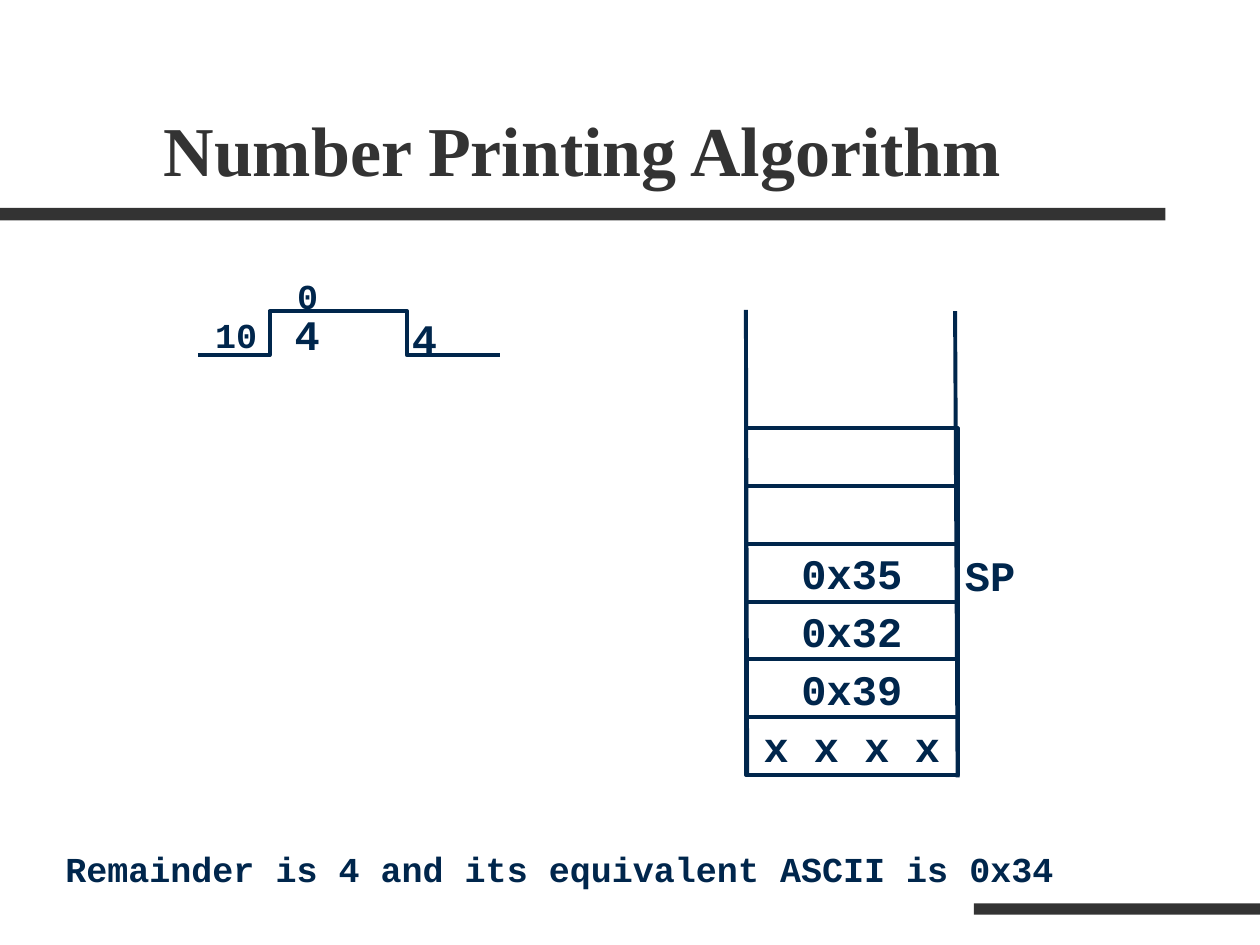
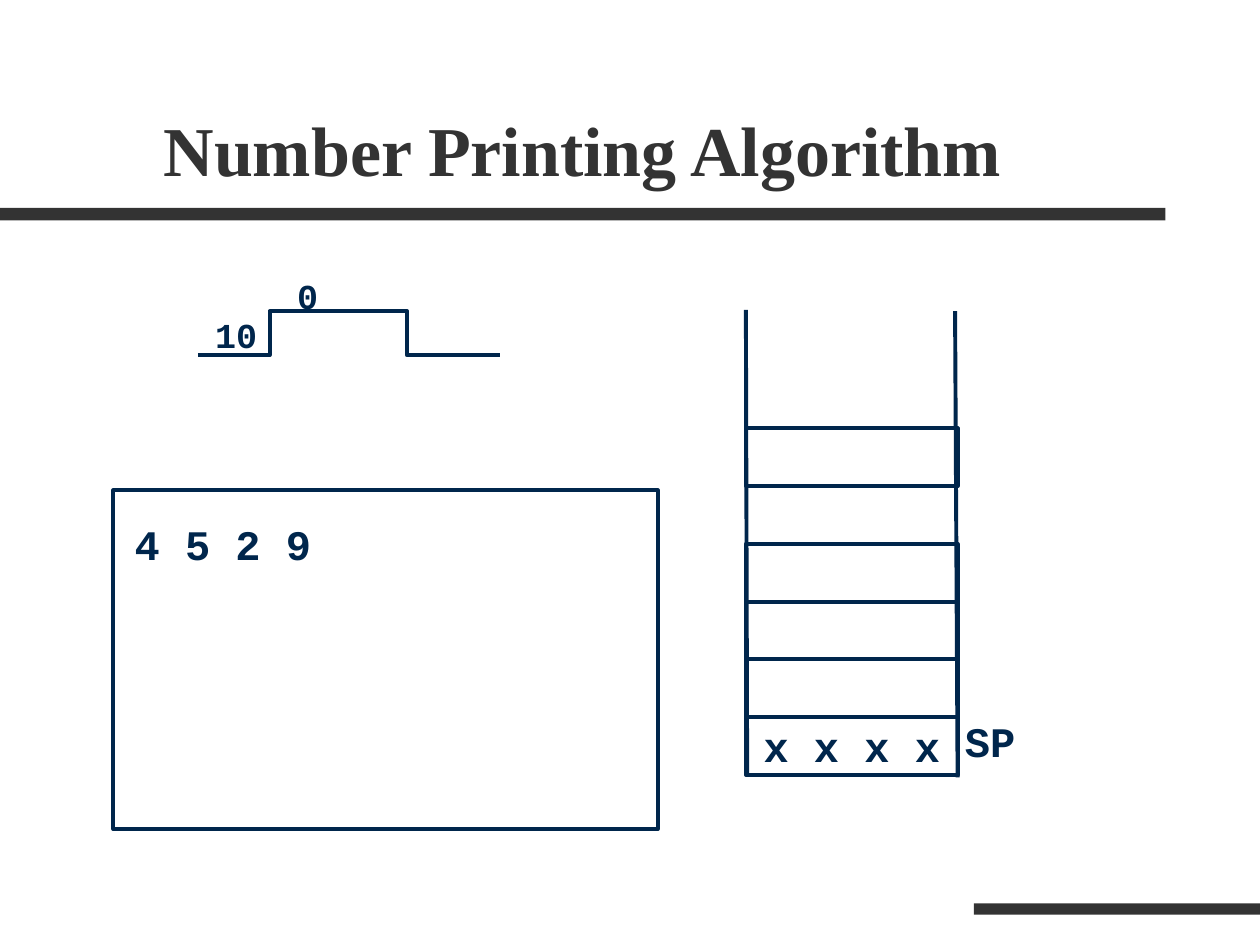
from lxml import etree
from pptx import Presentation
from pptx.dml.color import RGBColor
from pptx.enum.shapes import MSO_CONNECTOR, MSO_SHAPE
from pptx.enum.text import MSO_ANCHOR, MSO_AUTO_SIZE, PP_ALIGN
from pptx.oxml.ns import qn
from pptx.util import Pt

PX = 9144  # 100 px to the inch
RECTANGLE = MSO_SHAPE.RECTANGLE
STRAIGHT = MSO_CONNECTOR.STRAIGHT
TOP, MIDDLE, BOTTOM = MSO_ANCHOR.TOP, MSO_ANCHOR.MIDDLE, MSO_ANCHOR.BOTTOM
GROW = MSO_AUTO_SIZE.SHAPE_TO_FIT_TEXT
CENTER = PP_ALIGN.CENTER

# Shared look
COLORS = {"band": "333333", "ink": "00264C"}
TITLE_FONT, CODE_FONT = "Times New Roman", "Courier New"
LINE_WIDTH = 2.25
TITLE = "Number Printing Algorithm"
TITLE_BOX = (120, 31, 850, 125)
BANDS = [(0, 165, 925, 10), (773, 717, 227, 9)]

# Shared drawing: division bracket and stack
BRACKET = [(157, 282), (214, 282), (214, 247), (323, 247), (323, 282), (397, 282)]
STACK_WALLS = [((592, 246), (593, 615)), ((758, 247), (760, 617))]
STACK_LEFT, STACK_TOP, STACK_WIDTH, STACK_HEIGHT = 592, 340, 168, 275
DIVISION_LABELS = [("10", (161, 244, 56, 44), 20), ("0", (226, 213, 56, 44), 20)]

# Per slide: stack cells from top to bottom (None leaves a gap), screens, labels
SLIDES = [
    {
        "stack": ["", "", "0x35", "0x32", "0x39", "x x x x"],
        "screens": [],
        "labels": [
            ("SP", (756, 431, 78, 50), 24),
            ("4", (224, 240, 104, 50), 24),
            ("4", (317, 243, 104, 50), 24),
            ("Remainder is 4 and its equivalent ASCII is 0x34", (42, 668, 821, 44), 20),
        ],
    },
    {
        "stack": ["", None, "", "", "", "x x x x"],
        "screens": [(90, 389, 432, 269)],
        "labels": [
            ("SP", (756, 563, 78, 50), 24),
            ("4 5 2 9", (97, 407, 408, 50), 24),
        ],
    },
]


def emu(lengths):
    return [round(length * PX) for length in lengths]


def color(name):
    return RGBColor.from_string(COLORS[name])


def style_outline(part):
    part.line.color.rgb = color("ink")
    part.line.width = Pt(LINE_WIDTH)


def write(frame, text, size, font=CODE_FONT, ink="ink", anchor=TOP):
    frame.text = text
    frame.vertical_anchor = anchor
    run_font = frame.paragraphs[0].runs[0].font
    run_font.name, run_font.size, run_font.bold = font, Pt(size), True
    run_font.color.rgb = color(ink)


def add_text(slide, text, box, size, **style):
    frame = slide.shapes.add_textbox(*emu(box)).text_frame
    frame.word_wrap = True
    write(frame, text, size, **style)
    return frame


def add_box(slide, box, fill=None):
    part = slide.shapes.add_shape(RECTANGLE, *emu(box))
    part.shadow.inherit = False
    if fill:
        part.fill.solid()
        part.fill.fore_color.rgb = color(fill)
        part.line.fill.background()
    else:
        part.fill.background()
        style_outline(part)
    return part


def add_bracket(slide):
    builder = slide.shapes.build_freeform(*BRACKET[0], scale=PX)
    builder.add_line_segments(BRACKET[1:], close=False)
    bracket = builder.convert_to_shape()
    bracket.shadow.inherit = False
    bracket.fill.background()
    style_outline(bracket)


def add_stack(slide, cells):
    for start, end in STACK_WALLS:
        wall = slide.shapes.add_connector(STRAIGHT, *emu(start + end))
        style_outline(wall)
        etree.SubElement(wall._element.spPr, qn("a:effectLst"))
    cell_height = STACK_HEIGHT / len(cells)
    for row, value in enumerate(cells):
        if value is None:
            continue
        top = STACK_TOP + row * cell_height
        cell = add_box(slide, (STACK_LEFT, top, STACK_WIDTH, cell_height))
        if value:
            write(cell.text_frame, value, 24, anchor=MIDDLE)
            cell.text_frame.word_wrap = False
            cell.text_frame.paragraphs[0].alignment = CENTER


def main():
    deck = Presentation()
    deck.slide_width, deck.slide_height = emu((1000, 750))
    for content in SLIDES:
        slide = deck.slides.add_slide(deck.slide_layouts[6])
        # Bands and title
        for band in BANDS:
            add_box(slide, band, fill="band")
        add_text(slide, TITLE, TITLE_BOX, 40, font=TITLE_FONT, ink="band", anchor=BOTTOM)
        # Division, stack and screen
        add_bracket(slide)
        add_stack(slide, content["stack"])
        for screen in content["screens"]:
            add_box(slide, screen)
        # Labels
        for text, box, size in DIVISION_LABELS + content["labels"]:
            add_text(slide, text, box, size).auto_size = GROW
    deck.save("out.pptx")


if __name__ == "__main__":
    main()
